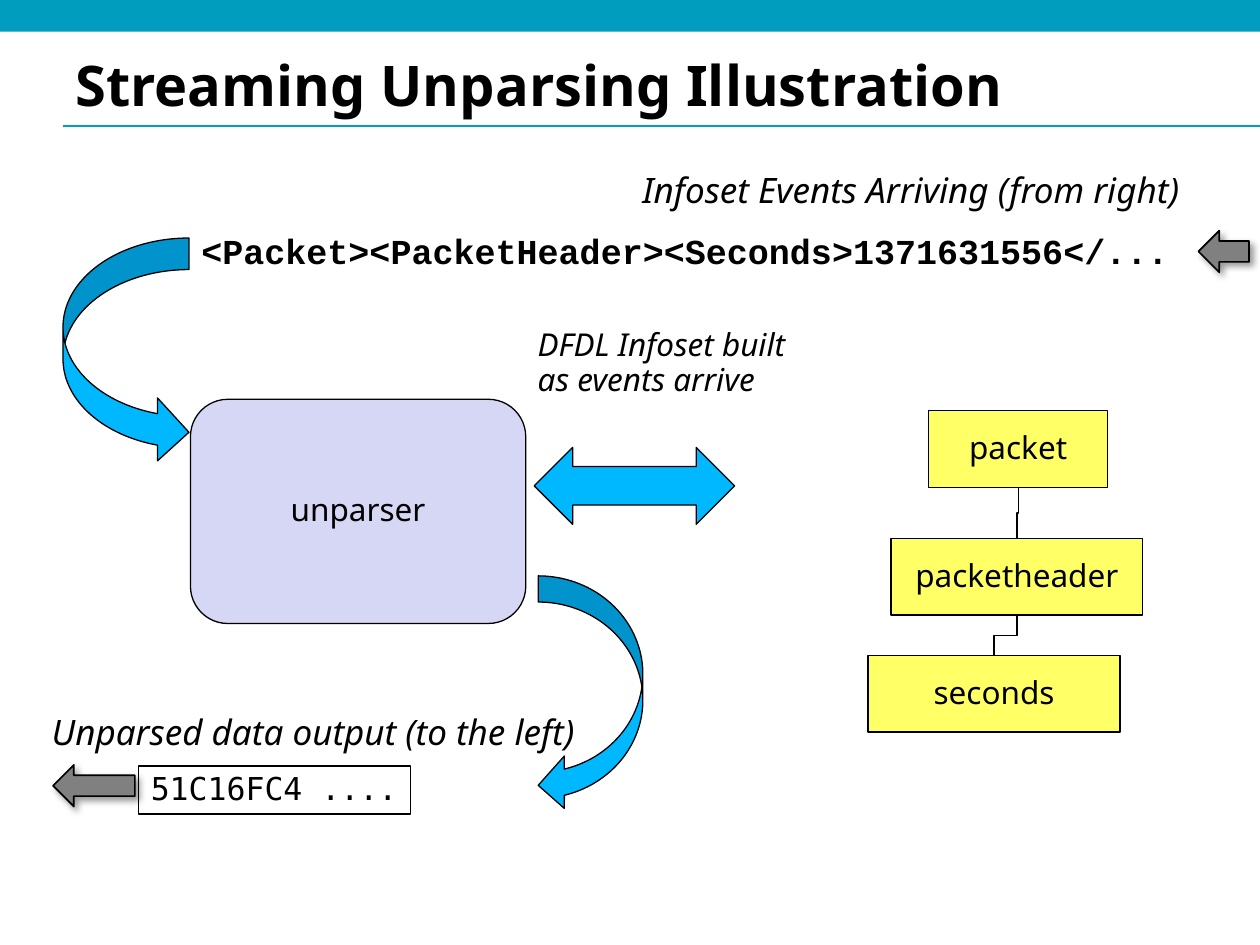
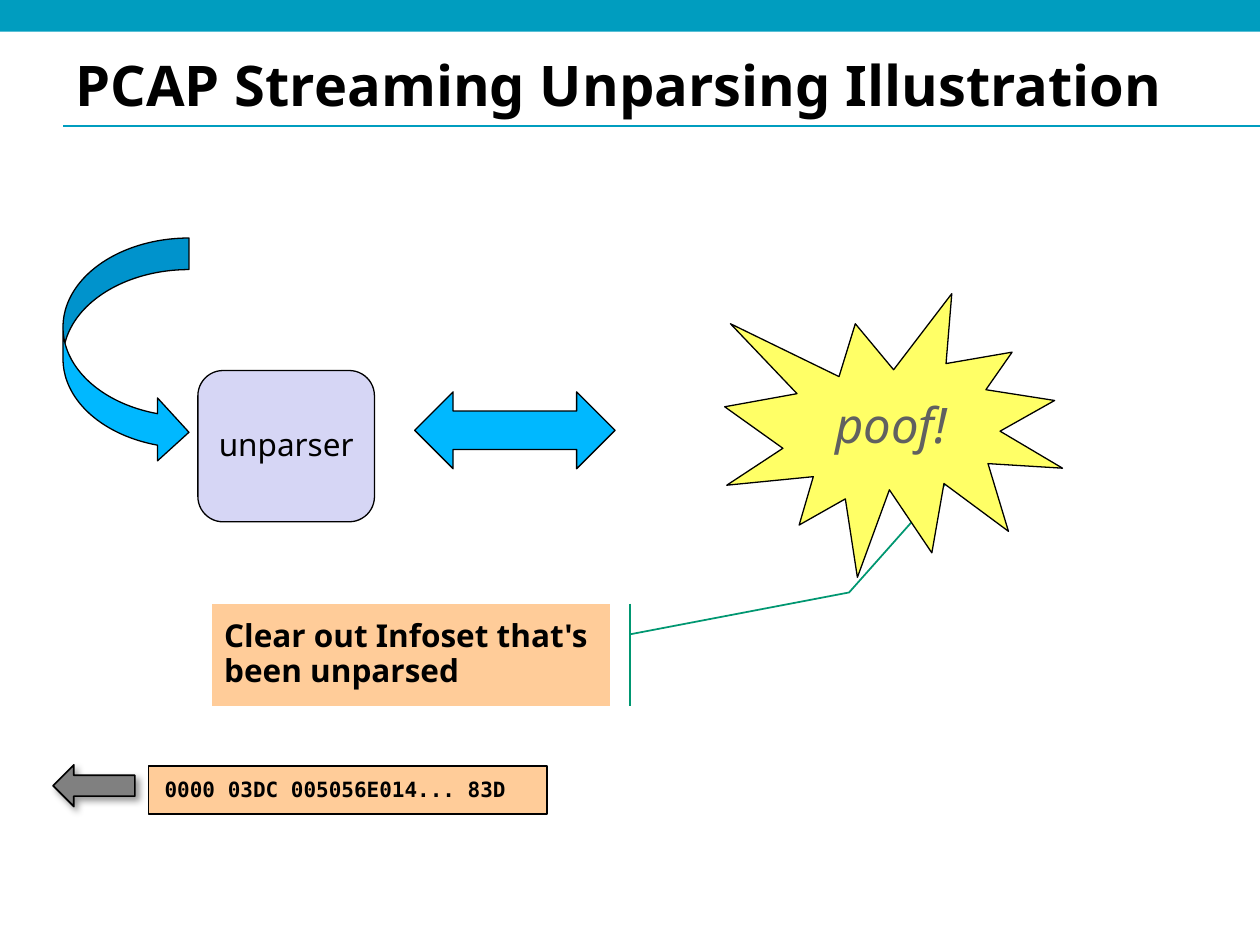
import lxml.etree
import pptx
import pptx.dml.color
import pptx.enum.shapes
import pptx.enum.text
import pptx.oxml.ns
import pptx.util

Cm = pptx.util.Cm
Pt = pptx.util.Pt
PRESET = pptx.enum.shapes.MSO_SHAPE
ANCHOR = pptx.enum.text.MSO_ANCHOR
ALIGN = pptx.enum.text.PP_ALIGN

COLOURS = {
    "band": "009DBF",
    "black": "000000",
    "arrow": "00B8FF",
    "stream": "808080",
    "process": "D6D6F5",
    "infoset": "FFFF66",
    "note": "FFCC99",
    "callout line": "009771",
    "poof": "606060",
}

# Font formats by role
SANS = "Noto Sans"
MONO = "DejaVu Sans Mono"
FORMATS = {
    "title": {"name": SANS, "size": Pt(32), "bold": True},
    "heading": {"name": SANS, "size": Pt(20), "italic": True},
    "remark": {"name": SANS, "size": Pt(18), "italic": True},
    "label": {"name": SANS, "size": Pt(18)},
    "note": {"name": SANS, "size": Pt(18), "bold": True},
    "poof": {"name": SANS, "size": Pt(28), "italic": True},
    "events": {"name": "Courier New", "size": Pt(20), "bold": True},
    "data": {"name": MONO, "size": Pt(18)},
    "small data": {"name": MONO, "size": Pt(12), "bold": True},
}

# Places used on both slides: left, top, width, height in centimetres
EVENT_ARROW = (1.27, 4.8, 2.54, 4.55)
OUTPUT_ARROW = (1.07, 15.42, 1.65, 0.84)
EXCHANGE_SIZE = (4.04, 1.55)
NODE_HEIGHT = 1.55


def rgb(colour):
    return pptx.dml.color.RGBColor.from_string(COLOURS[colour])


def add_child(parent, tag, **attributes):
    return lxml.etree.SubElement(parent, pptx.oxml.ns.qn(tag), attributes)


def write_text(shape, text, role, colour="black", align=ALIGN.LEFT,
               anchor=ANCHOR.MIDDLE, spacing=0.93, wrap=True, grow=False):
    frame = shape.text_frame
    frame.word_wrap = wrap
    frame.vertical_anchor = anchor
    if grow:
        frame.auto_size = pptx.enum.text.MSO_AUTO_SIZE.SHAPE_TO_FIT_TEXT
    paragraph = frame.paragraphs[0]
    paragraph.alignment = align
    paragraph.line_spacing = spacing
    run = paragraph.add_run()
    run.text = text
    for attribute, value in FORMATS[role].items():
        setattr(run.font, attribute, value)
    run.font.color.rgb = rgb(colour)


def add_text(slide, box, text, role, wrap=True):
    shape = slide.shapes.add_textbox(*map(Cm, box))
    write_text(shape, text, role, anchor=ANCHOR.TOP, wrap=wrap, grow=True)


def add_block(slide, preset, box, fill=None, line="black", width=0.75):
    shape = slide.shapes.add_shape(preset, *map(Cm, box))
    shape.shadow.inherit = False
    if fill:
        shape.fill.solid()
        shape.fill.fore_color.rgb = rgb(fill)
    else:
        shape.fill.background()
    if line:
        shape.line.color.rgb = rgb(line)
        shape.line.width = Pt(width)
    else:
        shape.line.fill.background()
    return shape


def add_labelled(slide, preset, box, fill, text, role="label", colour="black"):
    shape = add_block(slide, preset, box, fill)
    write_text(shape, text, role, colour, ALIGN.CENTER)
    return shape


def add_stream_arrow(slide, box):
    """Grey arrow to the left with a soft shadow."""
    shape = add_block(slide, PRESET.LEFT_ARROW, box, "stream", width=1)
    effects = shape._element.spPr.find(pptx.oxml.ns.qn("a:effectLst"))
    shadow = add_child(effects, "a:outerShdw", blurRad=str(Pt(4)),
                       dist=str(Pt(3)), dir="2700000", rotWithShape="0")
    colour = add_child(shadow, "a:srgbClr", val=COLOURS["black"])
    add_child(colour, "a:alpha", val="40000")


def add_exchange_arrow(slide, left, top):
    add_block(slide, PRESET.LEFT_RIGHT_ARROW, (left, top, *EXCHANGE_SIZE), "arrow")


def add_line(slide, kind, ends, colour):
    connector = slide.shapes.add_connector(kind, *ends)
    connector.line.color.rgb = rgb(colour)
    connector.line.width = Pt(0.75)
    add_child(connector._element.spPr, "a:effectLst")
    return connector


def connect_nodes(slide, parent, child):
    """Elbow from the parent's bottom centre to the child's top centre."""
    start_x = parent.left + parent.width // 2
    start_y = parent.top + parent.height
    end_x = child.left + child.width // 2
    connector = add_line(slide, pptx.enum.shapes.MSO_CONNECTOR.ELBOW,
                         (start_x, start_y, end_x, child.top), "black")
    connector.begin_connect(parent, 2)
    connector.end_connect(child, 0)
    # A quarter turn makes the elbow leave downwards
    drop, shift = child.top - start_y, start_x - end_x
    frame = {
        "left": (start_x + end_x - drop) // 2,
        "top": (start_y + child.top - shift) // 2,
        "width": drop,
        "height": shift,
    }
    for attribute, value in frame.items():
        setattr(connector, attribute, value)
    transform = connector._element.spPr.find(pptx.oxml.ns.qn("a:xfrm"))
    for flip in ("flipH", "flipV"):
        transform.attrib.pop(flip, None)
    transform.set("rot", "5400000")


def add_slide(presentation, title):
    """Blank slide with the shared rule, band, title and flow arrows."""
    slide = presentation.slides.add_slide(presentation.slide_layouts[6])
    add_line(slide, pptx.enum.shapes.MSO_CONNECTOR.STRAIGHT,
             map(Cm, (1.27, 2.54, 25.4, 2.54)), "band")
    add_block(slide, PRESET.RECTANGLE, (0, 0, 25.4, 0.64), "band", line=None)
    title_box = slide.shapes.add_textbox(*map(Cm, (1.27, 0.97, 22.86, 1.55)))
    write_text(title_box, title, "title", spacing=0.98)
    add_stream_arrow(slide, OUTPUT_ARROW)
    add_block(slide, PRESET.CURVED_RIGHT_ARROW, EVENT_ARROW, "arrow")
    return slide


def build_streaming(presentation):
    slide = add_slide(presentation, "Streaming Unparsing Illustration")

    # Arriving events
    add_stream_arrow(slide, (24.16, 4.65, 1.02, 0.84))
    add_text(slide, (10.59, 6.5, 5.72, 1.68),
             "DFDL Infoset built as events arrive", "remark")
    add_text(slide, (12.7, 3.35, 13.23, 1.04),
             "Infoset Events Arriving (from right)", "heading")
    add_text(slide, (3.81, 4.57, 20.17, 1.07),
             "<Packet><PacketHeader><Seconds>1371631556</...", "events", wrap=False)

    # Unparsed output
    output = add_block(slide, PRESET.RECTANGLE, (2.79, 15.44, 5.49, 0.97))
    write_text(output, "51C16FC4 ....", "data", anchor=ANCHOR.TOP,
               wrap=False, grow=True)
    add_text(slide, (0.79, 14.27, 13.23, 1.04),
             "Unparsed data output (to the left)", "heading")

    # Unparser and its flows
    add_labelled(slide, PRESET.ROUNDED_RECTANGLE, (3.84, 8.05, 6.76, 4.52),
                 "process", "unparser")
    add_block(slide, PRESET.CURVED_LEFT_ARROW, (10.85, 11.61, 2.11, 4.75), "arrow")
    add_exchange_arrow(slide, 10.77, 9.02)

    # Infoset tree
    tree = [("packet", 18.72, 8.28, 3.61),
            ("packetheader", 17.96, 10.85, 5.08),
            ("seconds", 17.5, 13.21, 5.08)]
    nodes = [add_labelled(slide, PRESET.RECTANGLE,
                          (left, top, width, NODE_HEIGHT), "infoset", name)
             for name, left, top, width in tree]
    for parent, child in zip(nodes, nodes[1:]):
        connect_nodes(slide, parent, child)


def build_pcap(presentation):
    slide = add_slide(presentation, "PCAP Streaming Unparsing Illustration")

    # Output data
    add_block(slide, PRESET.RECTANGLE, (3, 15.44, 8.03, 0.97), "note")
    add_text(slide, (3.07, 15.57, 9.32, 0.74),
             "0000 03DC 005056E014... 83D", "small data")

    # Unparser
    add_labelled(slide, PRESET.ROUNDED_RECTANGLE, (3.99, 7.47, 3.56, 3.05),
                 "process", "unparser")
    add_exchange_arrow(slide, 8.36, 7.9)

    # Cleared infoset with its callout
    callout = add_block(slide, PRESET.LINE_CALLOUT_2_ACCENT_BAR,
                        (4.27, 12.17, 8.03, 2.06), "note", "callout line", 1)
    for index, value in enumerate((0.3, 1.05, -0.11, 1.6, -1.47, 1.91)):
        callout.adjustments[index] = value
    write_text(callout, "Clear out Infoset that's been unparsed", "note")
    add_labelled(slide, PRESET.EXPLOSION1, (14.61, 5.92, 6.81, 5.72),
                 "infoset", "poof!", "poof", "poof")


def main():
    presentation = pptx.Presentation()
    presentation.slide_width = Cm(25.4)
    presentation.slide_height = Cm(19.05)
    build_streaming(presentation)
    build_pcap(presentation)
    presentation.save("out.pptx")


if __name__ == "__main__":
    main()
